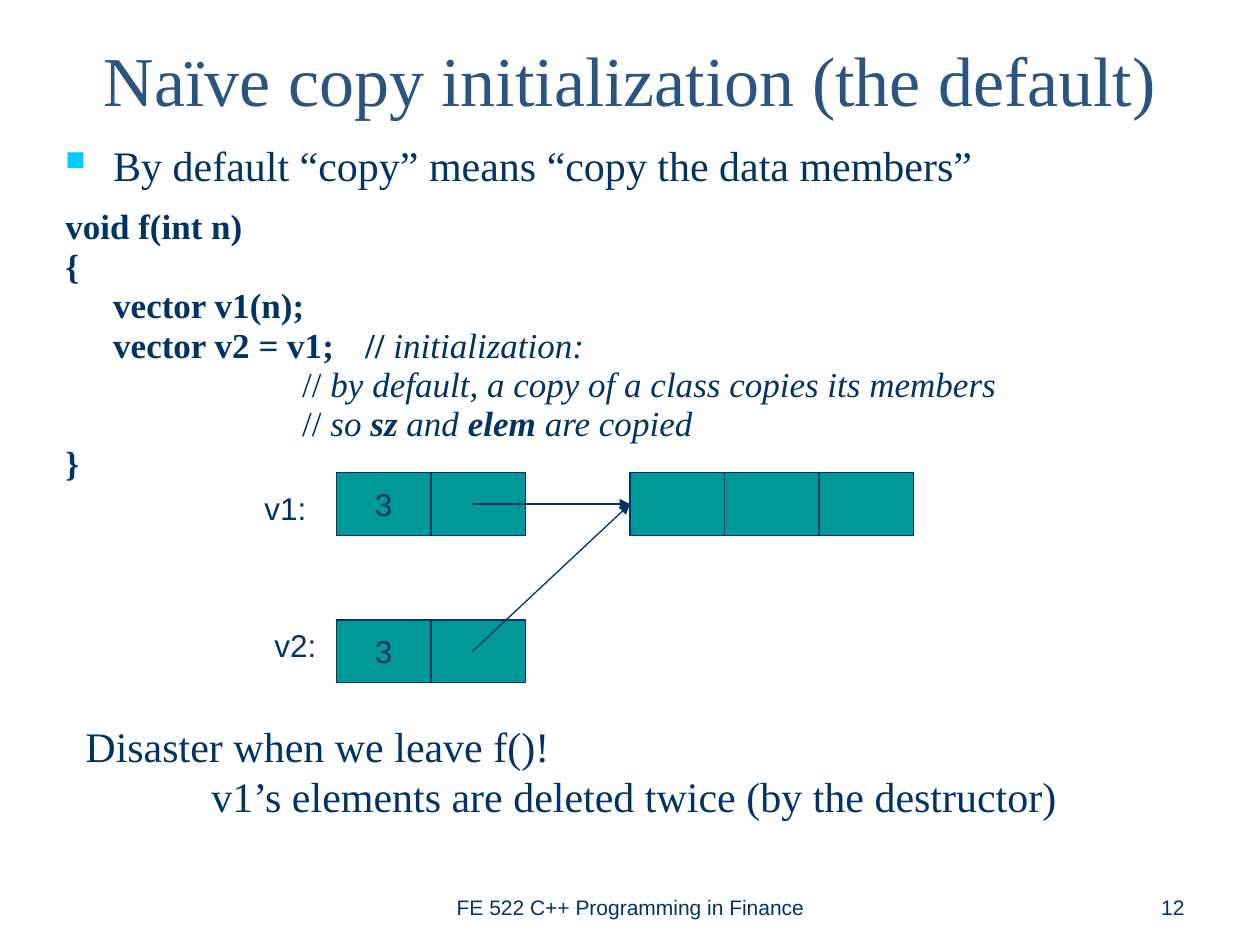
from lxml import etree
from pptx import Presentation
from pptx.dml.color import RGBColor
from pptx.enum.shapes import MSO_CONNECTOR, MSO_SHAPE
from pptx.enum.text import MSO_ANCHOR, PP_ALIGN
from pptx.oxml.ns import qn
from pptx.util import Inches, Pt

STRAIGHT = MSO_CONNECTOR.STRAIGHT
RECTANGLE = MSO_SHAPE.RECTANGLE
TOP, MIDDLE, BOTTOM = MSO_ANCHOR.TOP, MSO_ANCHOR.MIDDLE, MSO_ANCHOR.BOTTOM
LEFT, CENTER, RIGHT = PP_ALIGN.LEFT, PP_ALIGN.CENTER, PP_ALIGN.RIGHT
SERIF, SANS = "Times New Roman", "Arial"
NAVY, TITLE_BLUE, TEAL, CYAN = "003366", "2B5481", "009999", "00CCFF"
CELL_WIDTH, CELL_HEIGHT = 0.75, 0.5

CODE = [
    [("void f(int n)", "b")],
    [("{", "b")],
    [("\tvector v1(n);", "b")],
    [("\tvector v2 = v1; \t// ", "b"), ("initialization:", "i")],
    [("\t\t\t\t// ", ""), ("by default, a copy of a class copies its members", "i")],
    [("\t\t\t\t// ", ""), ("so ", "i"), ("sz", "bi"), (" and ", "i"),
     ("elem ", "bi"), ("are copied", "i")],
    [("}", "b")],
]


def color(value):
    return RGBColor.from_string(value)


def add_span(para, text, size, font=SERIF, ink=NAVY, style=""):
    span = para.add_run()
    span.text = text
    span.font.size = Pt(size)
    span.font.name = font
    span.font.color.rgb = color(ink)
    span.font.bold = "b" in style
    span.font.italic = "i" in style


def add_box(page, left, top, width, height, anchor=TOP):
    box = page.shapes.add_textbox(Inches(left), Inches(top), Inches(width), Inches(height))
    box.text_frame.word_wrap = True
    box.text_frame.vertical_anchor = anchor
    return box.text_frame


def add_label(page, place, text, size, font=SANS, ink=NAVY, align=LEFT, anchor=TOP, before=0):
    para = add_box(page, *place, anchor).paragraphs[0]
    para.alignment = align
    para.space_before = Pt(before)
    add_span(para, text, size, font, ink)
    return para


def set_tabs(para, first):
    tabs = etree.SubElement(para._p.get_or_add_pPr(), qn("a:tabLst"))
    for stop in range(first, first + 8):
        etree.SubElement(tabs, qn("a:tab"), pos=str(Inches(stop)), algn="l")


def set_hanging(para, before):
    para.line_spacing = 0.7
    para.space_before = Pt(before)
    properties = para._p.get_or_add_pPr()
    properties.set("marL", str(Inches(0.38)))
    properties.set("indent", str(Inches(-0.38)))
    return properties


def add_bullet(properties):
    bullet_color = etree.SubElement(properties, qn("a:buClr"))
    etree.SubElement(bullet_color, qn("a:srgbClr"), val=CYAN)
    etree.SubElement(properties, qn("a:buSzPct"), val="65000")
    etree.SubElement(properties, qn("a:buChar"), char="■")


def add_code(page, left, top, width, height):
    frame = add_box(page, left, top, width, height)
    heading = frame.paragraphs[0]
    add_bullet(set_hanging(heading, 6))
    add_span(heading, "By default “copy” means “copy the data members”", 24)
    for number, line in enumerate(CODE):
        para = frame.add_paragraph()
        set_hanging(para, 5.7 if number else 15.7)
        set_tabs(para, 0)
        for text, style in line:
            add_span(para, text, 20, style=style)


def add_cells(page, left, top, values):
    cells = []
    for column, value in enumerate(values):
        cell = page.shapes.add_shape(
            RECTANGLE, Inches(left + column * CELL_WIDTH), Inches(top),
            Inches(CELL_WIDTH), Inches(CELL_HEIGHT))
        cell.shadow.inherit = False
        cell.fill.solid()
        cell.fill.fore_color.rgb = color(TEAL)
        cell.line.color.rgb = color(NAVY)
        cell.line.width = Pt(0.75)
        if value:
            cell.text_frame.word_wrap = False
            cell.text_frame.vertical_anchor = MIDDLE
            para = cell.text_frame.paragraphs[0]
            para.alignment = CENTER
            add_span(para, value, 18, SANS)
        cells.append(cell)
    return cells


def add_pointer(page, left, top, target):
    pointer = page.shapes.add_connector(STRAIGHT, Inches(left), Inches(top), 0, 0)
    pointer.end_connect(target, 1)
    pointer.line.color.rgb = color(NAVY)
    pointer.line.width = Pt(0.75)
    etree.SubElement(pointer.line._get_or_add_ln(), qn("a:tailEnd"), type="triangle")
    etree.SubElement(pointer._element.spPr, qn("a:effectLst"))


def add_diagram(page, left, top):
    elements = add_cells(page, left + 3, top, ["", "", ""])
    vectors = [("v1:", 0, 0, 0.08), ("v2:", 1.17, 0.08, 0)]
    for name, row, label_left, label_top in vectors:
        add_cells(page, left + 0.67, top + row, ["3", ""])
        place = (left + label_left, top + row + label_top, 0.67, 0.4)
        add_label(page, place, name, 18, before=11.2)
    for name, row, label_left, label_top in vectors:
        add_pointer(page, left + 1.75, top + row + CELL_HEIGHT / 2, elements[0])


def add_warning(page, place):
    para = add_label(page, place, "Disaster when we leave f()!", 24, SERIF, before=15)
    set_tabs(para, 0)
    para.add_line_break()
    add_span(para, "\tv1’s elements are deleted twice (by the destructor)", 24)


def add_footer(page, top, height):
    add_label(page, (3.42, top, 3.17, height), "FE 522 C++ Programming in Finance", 12,
              align=CENTER, anchor=BOTTOM)
    add_label(page, (7.17, top, 2.33, height), "12", 12, align=RIGHT, anchor=BOTTOM)


def main():
    deck = Presentation()
    deck.slide_width, deck.slide_height = Inches(10), Inches(7.5)
    page = deck.slides.add_slide(deck.slide_layouts[6])
    add_label(page, (0.5, 0, 9, 1.25), "Naïve copy initialization (the default)", 40,
              SERIF, TITLE_BLUE, CENTER, MIDDLE)
    add_code(page, 0.42, 1.17, 9.58, 2.75)
    add_diagram(page, 2, 3.75)
    add_warning(page, (0.58, 5.67, 8, 0.9))
    add_footer(page, 6.83, 0.52)
    deck.save("out.pptx")


if __name__ == "__main__":
    main()
